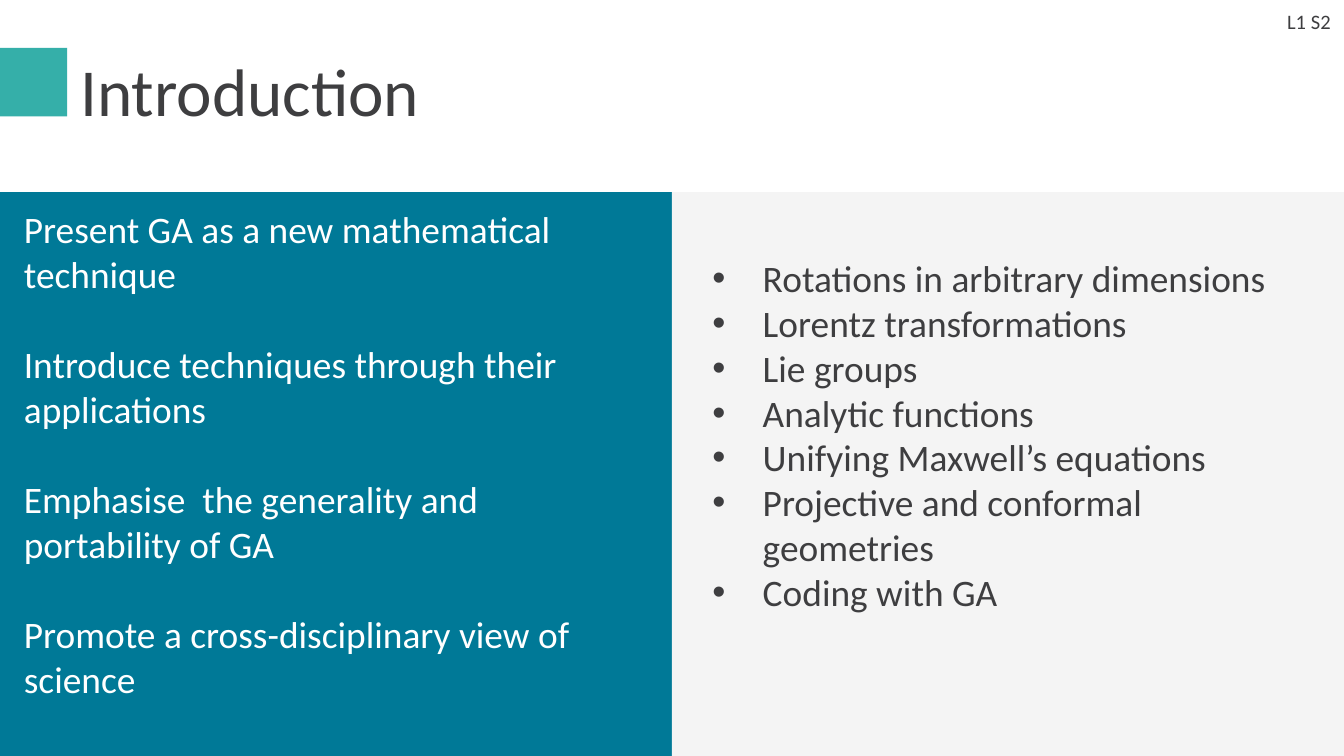
from lxml import etree
from pptx import Presentation
from pptx import util as u
from pptx.dml.color import RGBColor
from pptx.enum import shapes, text
from pptx.oxml import ns

TEAL = RGBColor(0x35, 0xAF, 0xA9)
BLUE = RGBColor(0x00, 0x79, 0x97)
PALE = RGBColor(0xF4, 0xF4, 0xF4)
WHITE = RGBColor(0xFF, 0xFF, 0xFF)
INK = RGBColor(0x3E, 0x3E, 0x40)

WIDTH, HEIGHT = 720, 405
HALF = WIDTH / 2
PANEL_TOP = 103
LINE_HEIGHT = 24.4

AIMS = [
    "Present GA as a new mathematical technique",
    "Introduce techniques through their applications",
    "Emphasise  the generality and portability of GA",
    "Promote a cross-disciplinary view of science",
]
TOPICS = [
    "Rotations in arbitrary dimensions",
    "Lorentz transformations",
    "Lie groups",
    "Analytic functions",
    "Unifying Maxwell’s equations",
    "Projective and conformal geometries",
    "Coding with GA",
]


def write(para, words, size=20, color=INK, font="Calibri",
          align=text.PP_ALIGN.LEFT, before=0, bullet=None, indent=27):
    para.alignment = align
    if before:
        para.space_before = u.Pt(before)
    if bullet:
        properties = para._p.get_or_add_pPr()
        properties.set("marL", str(u.Pt(indent)))
        properties.set("indent", str(-u.Pt(indent)))
        etree.SubElement(properties, ns.qn("a:buFont")).set("typeface", "Arial")
        etree.SubElement(properties, ns.qn("a:buChar")).set("char", bullet)
    span = para.add_run()
    span.text = words
    span.font.name = font
    span.font.size = u.Pt(size)
    span.font.color.rgb = color


class Page:
    def __init__(self, deck):
        self.slide = deck.slides.add_slide(deck.slide_layouts[6])

    def block(self, left, top, width, height, fill):
        shape = self.slide.shapes.add_shape(
            shapes.MSO_SHAPE.RECTANGLE, *map(u.Pt, (left, top, width, height)))
        shape.shadow.inherit = False
        shape.fill.solid()
        shape.fill.fore_color.rgb = fill
        shape.line.fill.background()

    def words(self, left, top, width, height, lines, inset=(0, 0),
              anchor=text.MSO_ANCHOR.TOP, gap=0, **style):
        box = self.slide.shapes.add_textbox(
            *map(u.Pt, (left, top, width, height)))
        frame = box.text_frame
        frame.word_wrap = True
        frame.vertical_anchor = anchor
        frame.margin_left = frame.margin_right = u.Pt(inset[0])
        frame.margin_top = frame.margin_bottom = u.Pt(inset[1])
        for index, line in enumerate(lines):
            para = frame.add_paragraph() if index else frame.paragraphs[0]
            write(para, line, before=gap if index else 0, **style)


def main():
    deck = Presentation()
    deck.slide_width, deck.slide_height = u.Pt(WIDTH), u.Pt(HEIGHT)
    page = Page(deck)

    page.block(0, 25.7, 36, 36.7, TEAL)
    for left, fill in ((0, BLUE), (HALF, PALE)):
        page.block(left, PANEL_TOP, HALF, HEIGHT - PANEL_TOP, fill)

    middle = text.MSO_ANCHOR.MIDDLE
    page.words(36, 22.3, 648, 51, ["Introduction"], inset=(7.2, 3.6),
               anchor=middle, size=36)
    page.words(12.8, 110.4, 330, 291, AIMS, gap=LINE_HEIGHT, color=WHITE)
    page.words(381.6, 136.8, 322.5, 218, TOPICS, bullet="•")
    page.words(552, 0.7, 168, 21.6, ["L1 S2"], inset=(7.2, 3.6),
               anchor=middle, size=11, align=text.PP_ALIGN.RIGHT)

    deck.save("out.pptx")


if __name__ == "__main__":
    main()
